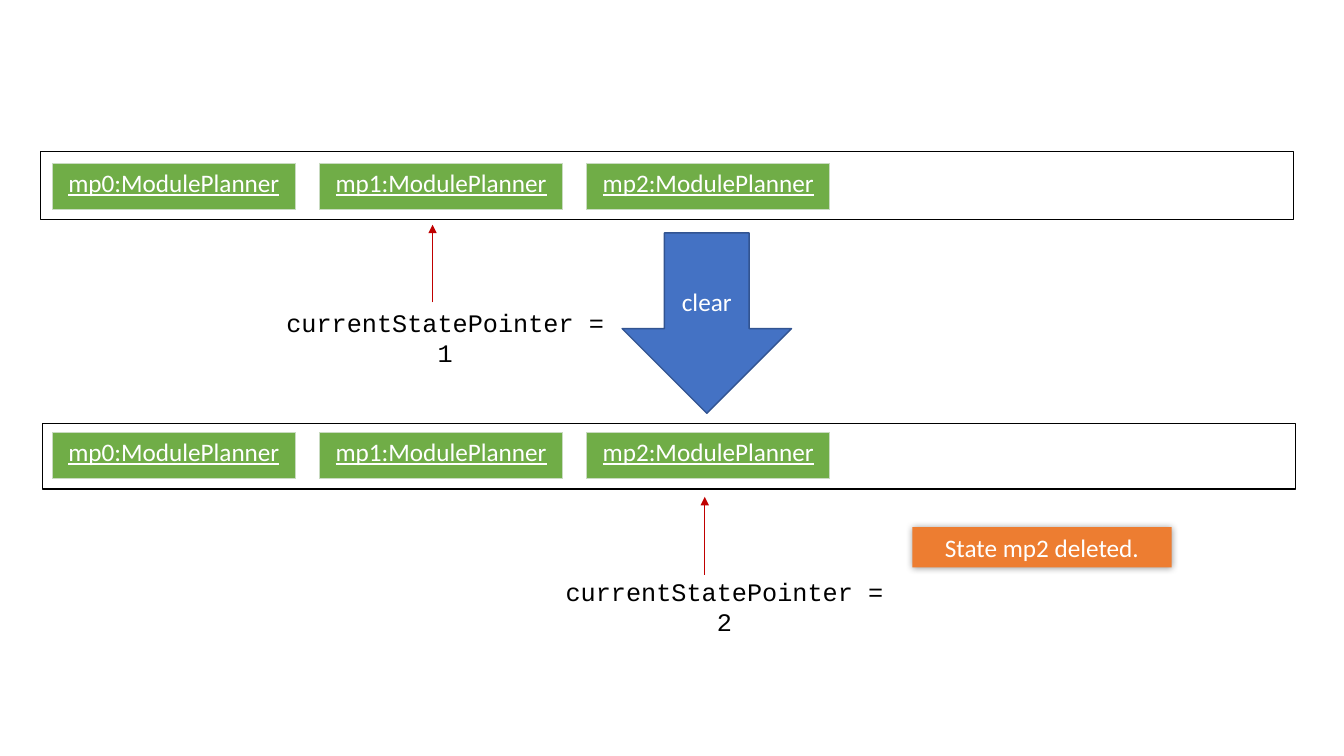
import pptx
import pptx.dml.color
import pptx.enum.dml
import pptx.enum.shapes
import pptx.enum.text
import pptx.oxml
import pptx.oxml.ns
import pptx.util

Inches = pptx.util.Inches
Pt = pptx.util.Pt
RGBColor = pptx.dml.color.RGBColor
Shape = pptx.enum.shapes.MSO_SHAPE
Anchor = pptx.enum.text.MSO_ANCHOR

BLACK = RGBColor(0, 0, 0)
WHITE = RGBColor(255, 255, 255)
BLUE = RGBColor(0x44, 0x72, 0xC4)
DARK_BLUE = RGBColor(0x32, 0x54, 0x91)
ORANGE = RGBColor(0xED, 0x7D, 0x31)
GREEN = RGBColor(0x70, 0xAD, 0x47)
PALE_GREEN = RGBColor(0xC9, 0xDB, 0xC1)
RED = RGBColor(0xC0, 0, 0)

LABEL = {"name": "Calibri", "size": Pt(18), "bold": False}
CODE = {"name": "Courier New", "size": Pt(18)}

STATE_SIZE = (2.41, 0.46)
STATE_PITCH = 2.65


def add_xml(parent, markup):
    """Append markup, written with the a: prefix, to a drawing element."""
    namespace = pptx.oxml.ns.nsdecls("a")
    parent.append(pptx.oxml.parse_xml(markup.replace(" ", f" {namespace} ", 1)))


def write_text(frame, text, formats, color):
    para = frame.paragraphs[0]
    para.alignment = pptx.enum.text.PP_ALIGN.CENTER
    span = para.add_run()
    span.text = text
    for name, value in formats.items():
        setattr(span.font, name, value)
    span.font.color.rgb = color


def add_block(page, preset, box, fill=None, line=None):
    block = page.shapes.add_shape(preset, *map(Inches, box))
    block.shadow.inherit = False
    if fill is None:
        block.fill.background()
    else:
        block.fill.solid()
        block.fill.fore_color.rgb = fill
    if line is None:
        block.line.fill.background()
    else:
        block.line.color.rgb = line
        block.line.width = Pt(1)
    return block


def add_state(page, box, name):
    """Place one object state as a single-cell table."""
    table = page.shapes.add_table(1, 1, *map(Inches, box)).table
    table.first_row = table.horz_banding = False
    cell = table.cell(0, 0)
    write_text(cell.text_frame, name, {**LABEL, "underline": True}, WHITE)
    properties = cell._tc.get_or_add_tcPr()
    for side in ("lnL", "lnR", "lnT", "lnB"):
        add_xml(properties, f'<a:{side} w="{Pt(0.5)}"><a:solidFill>'
                            f'<a:srgbClr val="{PALE_GREEN}"/></a:solidFill></a:{side}>')
    cell.fill.solid()
    cell.fill.fore_color.rgb = GREEN


def add_state_list(page, box, first_left, first_top):
    """Draw the list frame and its three states in a row."""
    add_block(page, Shape.RECTANGLE, box, line=BLACK)
    for index in range(3):
        place = (first_left + index * STATE_PITCH, first_top)
        add_state(page, place + STATE_SIZE, f"mp{index}:ModulePlanner")


def add_pointer(page, box, arrow_left, arrow_bottom, value):
    """Draw the pointer label in the box and an arrow rising above it."""
    label = page.shapes.add_textbox(*map(Inches, box))
    label.text_frame.word_wrap = True
    write_text(label.text_frame, f"currentStatePointer = {value}", CODE, BLACK)

    ends = (arrow_left, arrow_bottom, arrow_left, arrow_bottom - 0.77)
    arrow = page.shapes.add_connector(
        pptx.enum.shapes.MSO_CONNECTOR.STRAIGHT, *map(Inches, ends))
    arrow.line.color.rgb = RED
    arrow.line.width = Pt(0.5)
    add_xml(arrow.line._get_or_add_ln(), '<a:tailEnd type="triangle"/>')
    add_xml(arrow._element.spPr, "<a:effectLst />")


def add_command(page, box, name):
    arrow = add_block(page, Shape.DOWN_ARROW, box, BLUE, DARK_BLUE)
    arrow.text_frame.vertical_anchor = Anchor.MIDDLE
    write_text(arrow.text_frame, name, LABEL, WHITE)


def add_notice(page, box, text):
    """Draw an orange notice with a soft shadow all round."""
    notice = add_block(page, Shape.RECTANGLE, box, ORANGE)
    notice.text_frame.vertical_anchor = Anchor.TOP
    write_text(notice.text_frame, text, LABEL, WHITE)
    effects = notice._element.spPr.find(pptx.oxml.ns.qn("a:effectLst"))
    add_xml(effects, f'<a:outerShdw blurRad="{Pt(5)}" dist="0" dir="0">'
                     '<a:srgbClr val="000000"><a:alpha val="40000"/>'
                     '</a:srgbClr></a:outerShdw>')


def main():
    deck = pptx.Presentation()
    deck.slide_width, deck.slide_height = Inches(13.33), Inches(7.5)
    page = deck.slides.add_slide(deck.slide_layouts[6])

    add_command(page, (6.17, 2.31, 1.68, 1.79), "clear")
    add_notice(page, (9.05, 5.23, 2.57, 0.4), "State mp2 deleted.")
    add_state_list(page, (0.4, 1.5, 12.43, 0.68), 0.52, 1.62)
    add_pointer(page, (2.66, 3, 3.51, 0.4), 4.29, 3, 1)
    add_state_list(page, (0.42, 4.2, 12.43, 0.65), 0.52, 4.29)
    add_pointer(page, (5.43, 5.67, 3.51, 0.4), 6.99, 5.7, 2)

    deck.save("out.pptx")


if __name__ == "__main__":
    main()
